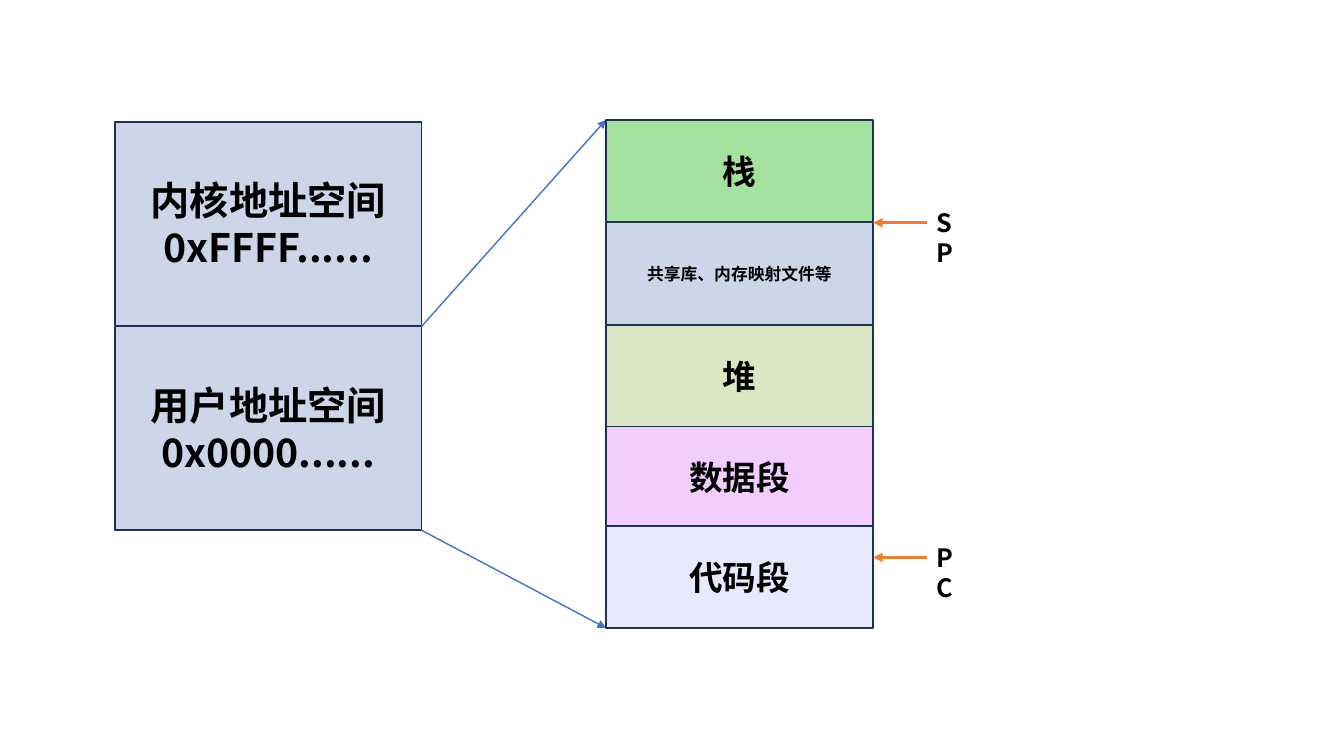
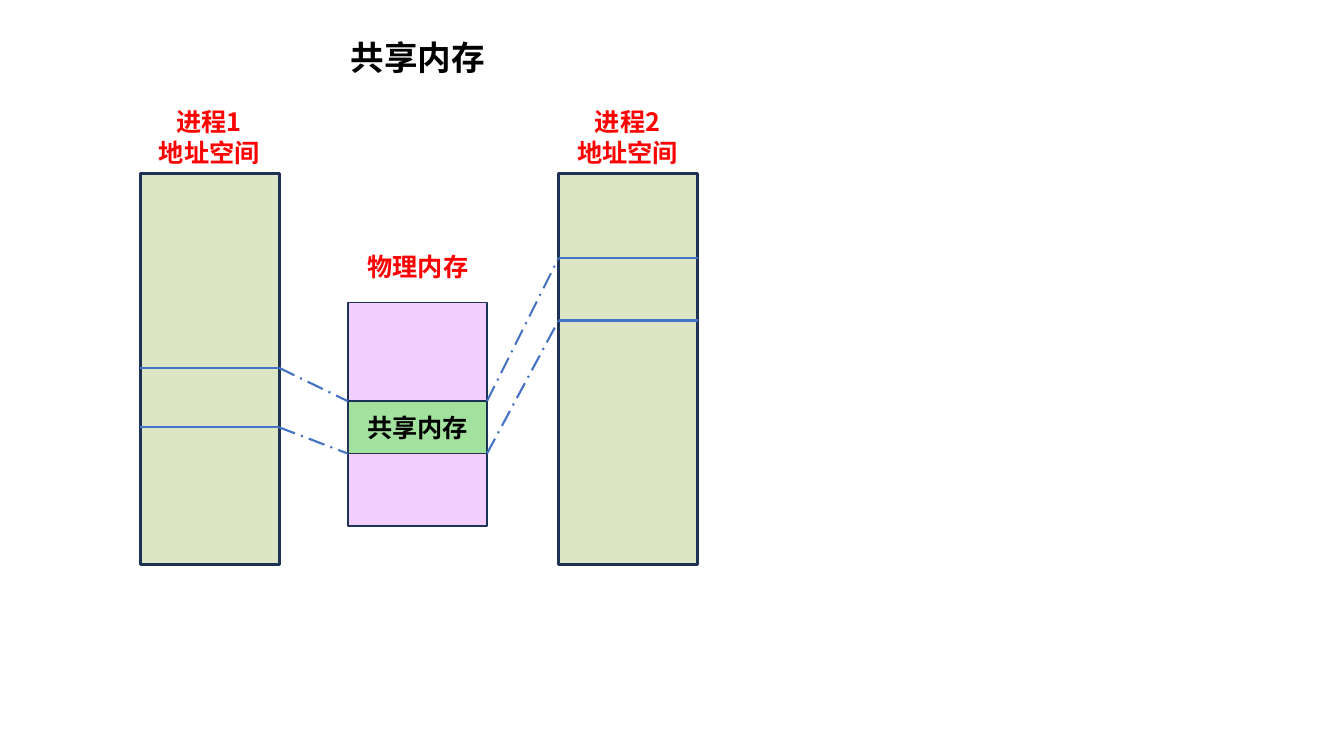
from pptx import Presentation
from pptx.dml.color import RGBColor
from pptx.enum.dml import MSO_LINE
from pptx.enum.shapes import MSO_CONNECTOR, MSO_SHAPE
from pptx.enum.text import MSO_ANCHOR, PP_ALIGN
from pptx.oxml.ns import qn
from pptx.util import Inches, Pt
from lxml import etree

FONT = "Noto Sans CJK SC"
BLACK = RGBColor(0x00, 0x00, 0x00)
RED = RGBColor(0xFF, 0x00, 0x00)
NAVY = RGBColor(0x1E, 0x32, 0x56)
BLUE = RGBColor(0x44, 0x72, 0xC4)
ORANGE = RGBColor(0xED, 0x7D, 0x31)
PALE_BLUE = RGBColor(0xCD, 0xD5, 0xE8)
GREEN = RGBColor(0xA2, 0xE1, 0x9E)
OLIVE = RGBColor(0xDD, 0xE6, 0xC4)
PINK = RGBColor(0xF2, 0xCE, 0xFE)
LAVENDER = RGBColor(0xE8, 0xE9, 0xFD)


class Diagram:
    def __init__(self):
        self.deck = Presentation()
        self.deck.slide_width = Inches(13.33)
        self.deck.slide_height = Inches(7.5)
        self.page = None

    def new_page(self):
        self.page = self.deck.slides.add_slide(self.deck.slide_layouts[6])

    def set_text(self, frame, lines, size, color, align):
        for index, line in enumerate(lines):
            para = frame.paragraphs[0] if index == 0 else frame.add_paragraph()
            span = para.add_run()
            span.text = line
            para.alignment = align
            para.line_spacing = Pt(size * 1.2)
            for font in (para.font, span.font):
                font.name = FONT
                font.size = Pt(size)
                font.bold = True
                font.color.rgb = color
            east_asian = etree.SubElement(span._r.get_or_add_rPr(), qn("a:ea"))
            east_asian.set("typeface", FONT)

    def block(self, left, top, width, height, fill, lines=(), size=24, border=1):
        box = self.page.shapes.add_shape(
            MSO_SHAPE.RECTANGLE, Inches(left), Inches(top), Inches(width), Inches(height))
        box.shadow.inherit = False
        box.fill.solid()
        box.fill.fore_color.rgb = fill
        box.line.color.rgb = NAVY
        box.line.width = Pt(border)
        box.text_frame.vertical_anchor = MSO_ANCHOR.MIDDLE
        self.set_text(box.text_frame, lines, size, BLACK, PP_ALIGN.CENTER)

    def label(self, left, top, width, height, lines, size=18, color=BLACK,
              align=PP_ALIGN.CENTER, wrap=False):
        box = self.page.shapes.add_textbox(
            Inches(left), Inches(top), Inches(width), Inches(height))
        box.text_frame.word_wrap = wrap
        self.set_text(box.text_frame, lines, size, color, align)

    def line(self, start, end, color=BLUE, width=1.5, dash=None, arrow=False):
        connector = self.page.shapes.add_connector(
            MSO_CONNECTOR.STRAIGHT, *(Inches(value) for value in (*start, *end)))
        connector.line.color.rgb = color
        connector.line.width = Pt(width)
        if dash:
            connector.line.dash_style = dash
        if arrow:
            outline = connector._element.spPr.find(qn("a:ln"))
            etree.SubElement(outline, qn("a:tailEnd")).set("type", "triangle")
        etree.SubElement(connector._element.spPr, qn("a:effectLst"))


def address_space(diagram):
    diagram.new_page()
    left, width, height = 1.14, 3.04, 2.02
    right = left + width
    diagram.block(left, 1.21, width, height, PALE_BLUE, ["内核地址空间", "0xFFFF......"], 28)
    diagram.block(left, 3.24, width, height, PALE_BLUE, ["用户地址空间", "0x0000......"], 28)

    stack_left, stack_width = 6.01, 2.65
    stack_right = stack_left + stack_width
    diagram.line((right, 3.24), (stack_left, 1.19), width=1, arrow=True)
    diagram.line((right, 5.26), (stack_left, 6.23), width=1, arrow=True)
    segments = [
        (1.19, GREEN, "栈", 24),
        (2.21, PALE_BLUE, "共享库、内存映射文件等", 12),
        (3.23, OLIVE, "堆", 24),
        (4.23, PINK, "数据段", 24),
        (5.22, LAVENDER, "代码段", 24),
    ]
    for top, fill, name, size in segments:
        diagram.block(stack_left, top, stack_width, 1.01, fill, [name], size)

    for name, y, label_width in (("PC", 5.53, 0.51), ("SP", 2.21, 0.49)):
        diagram.line((9.19, y), (stack_right, y), ORANGE, 2.25, arrow=True)
        diagram.label(9.19, y - 0.2, label_width, 0.4, [name],
                      align=PP_ALIGN.LEFT, wrap=True)


def shared_memory(diagram):
    diagram.new_page()
    diagram.label(3.37, 0.32, 1.55, 0.5, ["共享内存"], 24)
    width = 1.38
    processes = [("进程1", 1.39, (3.65, 4.24)), ("进程2", 5.54, (2.56, 3.18))]
    for name, left, bounds in processes:
        diagram.label(left + 0.08, 1.01, 1.21, 0.71, [name, "地址空间"], color=RED)
        diagram.block(left, 1.72, width, 3.88, OLIVE, border=2.25)
        for y in bounds:
            diagram.line((left, y), (left + width, y))

    memory_left, shared_top, shared_height = 3.45, 3.98, 0.52
    diagram.block(memory_left, 3, width, 2.22, PINK)
    diagram.block(memory_left, shared_top, width, shared_height, GREEN, ["共享内存"], 18)
    (_, first_left, first_bounds), (_, second_left, second_bounds) = processes
    shared_bounds = (shared_top, shared_top + shared_height)
    for first_y, shared_y, second_y in zip(first_bounds, shared_bounds, second_bounds):
        diagram.line((first_left + width, first_y), (memory_left, shared_y),
                     dash=MSO_LINE.LONG_DASH_DOT)
        diagram.line((memory_left + width, shared_y), (second_left, second_y),
                     dash=MSO_LINE.LONG_DASH_DOT)
    diagram.label(3.52, 2.44, 1.25, 0.4, ["物理内存"], color=RED)


def main():
    diagram = Diagram()
    address_space(diagram)
    shared_memory(diagram)
    diagram.deck.save("out.pptx")


if __name__ == "__main__":
    main()
